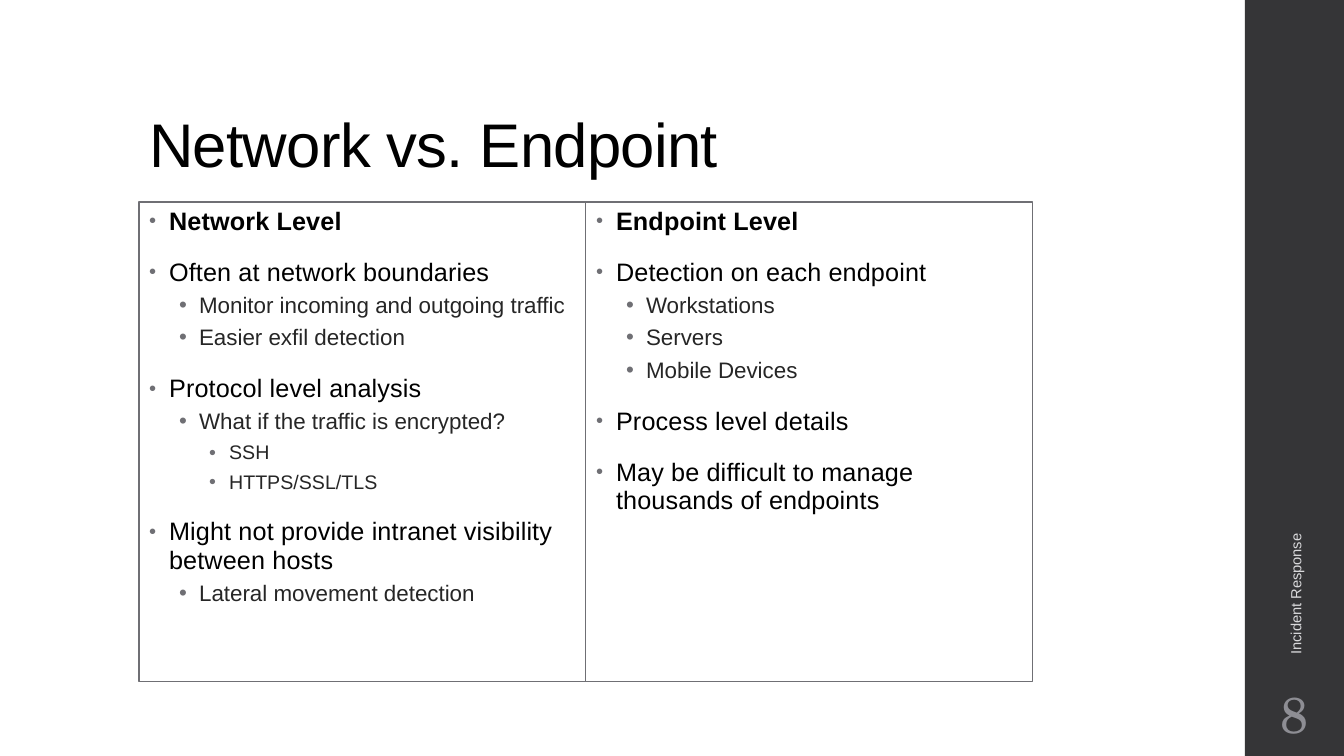
from pptx import Presentation
from pptx.dml.color import RGBColor
from pptx.enum.shapes import MSO_SHAPE
from pptx.enum.text import MSO_ANCHOR as Anchor, MSO_AUTO_SIZE as AutoSize, PP_ALIGN as Align
from pptx.oxml.ns import qn
from pptx.util import Pt
from lxml.etree import SubElement

PX = 914400 / 100.8  # EMU in one px
WIDTH, HEIGHT = 1344, 756
GREY = "6F6F74"
COLUMN_LEFT, COLUMN_TOP, COLUMN_WIDTH, COLUMN_HEIGHT = 139, 202, 447, 480
INDENT, INDENT_STEP = 20, 30

# Paragraph and run formats for each list level
SPACING = [
    {"line_spacing": 0.95, "space_before": Pt(14), "space_after": Pt(2)},
    {"line_spacing": 0.9, "space_before": Pt(3), "space_after": Pt(3)},
    {"line_spacing": 0.9, "space_before": Pt(3), "space_after": Pt(3)},
]
LEVEL_TEXT = [
    {"size": 18, "color": "000000", "tracking": 10},
    {"size": 16, "color": "262626"},
    {"size": 14, "color": "262626"},
]
BULLET_PERCENT = [80, 100, 100]

# Lists: (level, text); the first entry of each is its heading
COLUMNS = [
    [
        (0, "Network Level"),
        (0, "Often at network boundaries"),
        (1, "Monitor incoming and outgoing traffic"),
        (1, "Easier exfil detection"),
        (0, "Protocol level analysis"),
        (1, "What if the traffic is encrypted?"),
        (2, "SSH"),
        (2, "HTTPS/SSL/TLS"),
        (0, "Might not provide intranet visibility between hosts"),
        (1, "Lateral movement detection"),
    ],
    [
        (0, "Endpoint Level"),
        (0, "Detection on each endpoint"),
        (1, "Workstations"),
        (1, "Servers"),
        (1, "Mobile Devices"),
        (0, "Process level details"),
        (0, "May be difficult to manage thousands of endpoints"),
    ],
]


def px(value):
    return round(value * PX)


def rgb(color):
    return RGBColor.from_string(color)


def set_attributes(target, values):
    for name, value in values.items():
        setattr(target, name, value)


def place(shape, left, top, width, height):
    box = {"left": left, "top": top, "width": width, "height": height}
    set_attributes(shape, {name: px(value) for name, value in box.items()})


def add_run(paragraph, text, size, color, font="Arial", bold=False, tracking=0):
    run = paragraph.add_run()
    run.text = text
    set_attributes(run.font, {"name": font, "size": Pt(size), "bold": bold})
    run.font.color.rgb = rgb(color)
    run._r.get_or_add_rPr().set("spc", str(tracking))


def add_bullet(paragraph, level):
    properties = paragraph._p.get_or_add_pPr()
    properties.set("marL", str(px(INDENT + INDENT_STEP * level)))
    properties.set("indent", str(px(-INDENT)))
    color = SubElement(properties, qn("a:buClr"))
    SubElement(color, qn("a:srgbClr"), val=GREY)
    SubElement(properties, qn("a:buSzPct"), val=str(BULLET_PERCENT[level] * 1000))
    SubElement(properties, qn("a:buFont"), typeface="Arial")
    SubElement(properties, qn("a:buChar"), char="•")


def fill_title(shape, text):
    place(shape, 139, 40, 1068, 146)
    set_attributes(shape.text_frame, {
        "vertical_anchor": Anchor.BOTTOM, "auto_size": AutoSize.NONE, "word_wrap": True})
    paragraph = shape.text_frame.paragraphs[0]
    set_attributes(paragraph, {"alignment": Align.LEFT, "line_spacing": 0.9})
    add_run(paragraph, text, 44, "000000", tracking=-50)


def fill_column(shape, left, items):
    place(shape, left, COLUMN_TOP, COLUMN_WIDTH, COLUMN_HEIGHT)
    shape.line.color.rgb = rgb(GREY)
    shape.line.width = Pt(0.75)
    frame = shape.text_frame
    set_attributes(frame, {
        "vertical_anchor": Anchor.TOP, "auto_size": AutoSize.NONE, "word_wrap": True})
    for index, (level, text) in enumerate(items):
        paragraph = frame.add_paragraph() if index else frame.paragraphs[0]
        paragraph.level = level
        add_bullet(paragraph, level)
        set_attributes(paragraph, SPACING[level])
        if index == 0:
            paragraph.space_before = Pt(0)
        add_run(paragraph, text, bold=index == 0, **LEVEL_TEXT[level])


def add_bar(slide, left, top, width, height, color):
    bar = slide.shapes.add_shape(
        MSO_SHAPE.RECTANGLE, px(left), px(top), px(width), px(height))
    bar.shadow.inherit = False
    bar.fill.solid()
    bar.fill.fore_color.rgb = rgb(color)
    bar.line.fill.background()


def add_label(slide, box, text, alignment=Align.LEFT, rotation=0, **text_format):
    label = slide.shapes.add_textbox(*map(px, box))
    label.rotation = rotation
    set_attributes(label.text_frame, {"vertical_anchor": Anchor.MIDDLE, "word_wrap": True})
    paragraph = label.text_frame.paragraphs[0]
    paragraph.alignment = alignment
    add_run(paragraph, text, **text_format)


def main():
    presentation = Presentation()
    set_attributes(presentation, {"slide_width": px(WIDTH), "slide_height": px(HEIGHT)})
    slide = presentation.slides.add_slide(presentation.slide_layouts[3])
    title, *bodies = slide.placeholders

    # Title and the two lists
    fill_title(title, "Network vs. Endpoint")
    for index, (body, items) in enumerate(zip(bodies, COLUMNS)):
        fill_column(body, COLUMN_LEFT + index * COLUMN_WIDTH, items)

    # Side bar with footer and slide number
    add_bar(slide, 1245, 0, WIDTH - 1245, HEIGHT, "353537")
    add_label(slide, (1098, 447, 395, 40), "Incident Response",
              rotation=270, size=10.5, color="D9D9DB")
    add_label(slide, (1245, 680, 99, 66), "8", alignment=Align.CENTER,
              size=36, color="8E8E94", font="TeX Gyre Schola")

    presentation.save("out.pptx")


if __name__ == "__main__":
    main()
